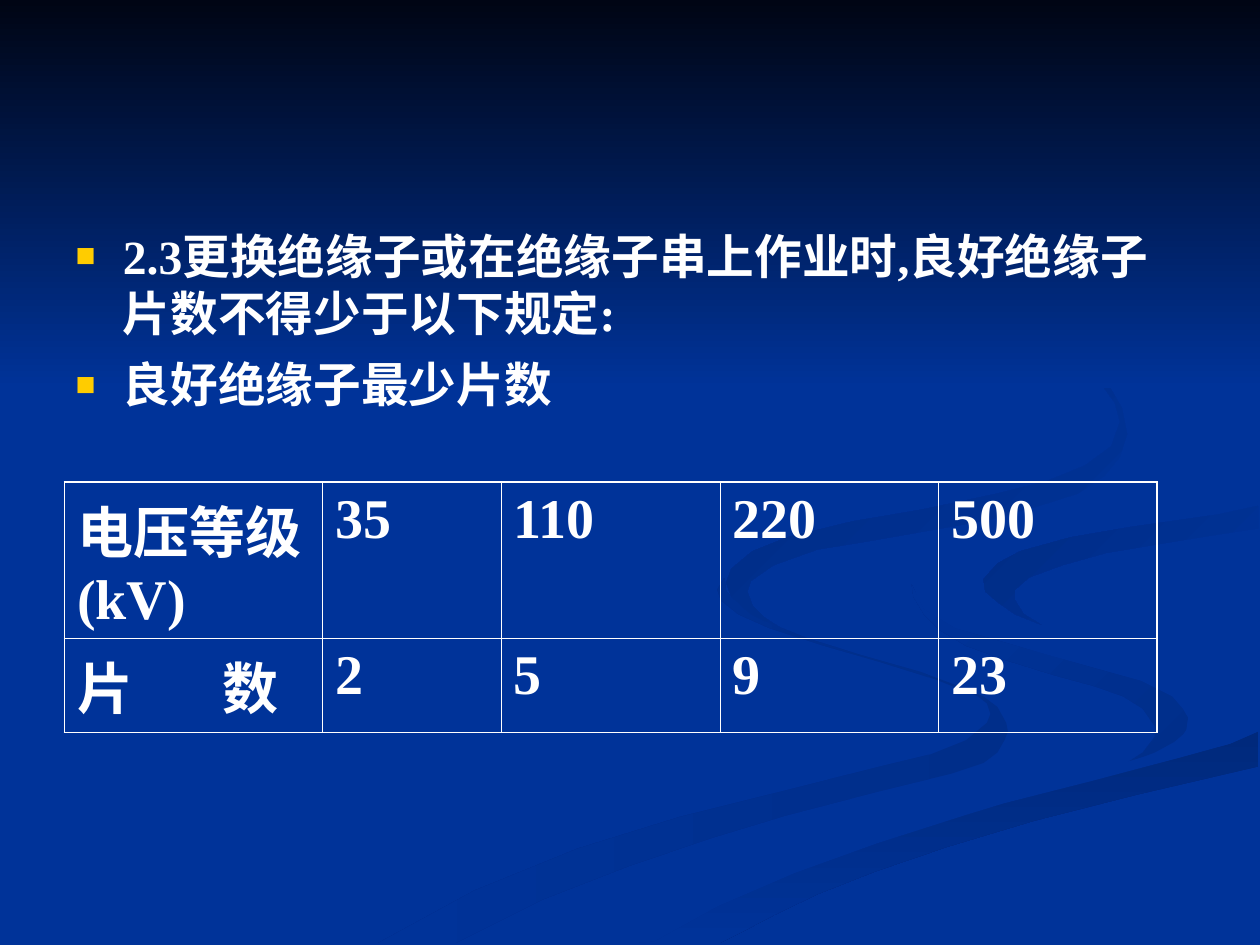
from dataclasses import dataclass

from lxml.etree import SubElement as Sub
from pptx import Presentation
from pptx.dml.color import RGBColor as Rgb
from pptx.enum.shapes import MSO_SHAPE as Kind
from pptx.enum.text import MSO_ANCHOR as Anchor, MSO_AUTO_SIZE as Fit
from pptx.oxml import parse_xml
from pptx.oxml.ns import nsdecls, qn
from pptx.util import Pt


@dataclass(frozen=True)
class Theme:
    """Colours, font and type sizes."""
    font: str = "Times New Roman"
    blue: str = "003399"
    night: str = "000514"
    shade: str = "002E8A"
    deep: str = "00297C"
    dusk: str = "002C85"
    dark: str = "002B81"
    text: str = "FFFFFF"
    mark: str = "FFCC00"
    body: float = 27.2
    cell: float = 32
    gap: float = 8
    thin: float = 0.45
    thick: float = 1.08


class Deck:
    """Holds the theme and the current slide."""

    def __init__(self, theme):
        """Open a deck with one slide."""
        self.theme = theme
        self.show = Presentation()
        self.show.slide_width, self.show.slide_height = Pt(720), Pt(540)
        self.slide = self.show.slides.add_slide(self.show.slide_layouts[1])
        title = self.slide.shapes.title._element
        title.getparent().remove(title)
        fill = self.slide.background.fill
        fill.solid()
        fill.fore_color.rgb = Rgb.from_string(theme.blue)

    def paint(self, shape, start, end=None, angle=0):
        """Fill a shape flat, or with a gradient at a clockwise angle."""
        shape.shadow.inherit = False
        shape.line.fill.background()
        if end is None:
            shape.fill.solid()
            shape.fill.fore_color.rgb = Rgb.from_string(start)
            return
        shape.fill.gradient()
        shape.fill.gradient_angle = 360 - angle
        for stop, tone in zip(shape.fill.gradient_stops, (start, end)):
            stop.color.rgb = Rgb.from_string(tone)

    def band(self, high, *tones):
        """Add a full-width band at the top."""
        shape = self.slide.shapes.add_shape(
            Kind.RECTANGLE, 0, 0, Pt(720), Pt(high))
        self.paint(shape, *tones)

    def ribbon(self, dots, *tones):
        """Add a closed ribbon outline."""
        pen = self.slide.shapes.build_freeform(*dots[0], scale=Pt(1))
        pen.add_line_segments(dots[1:], close=True)
        self.paint(pen.convert_to_shape(), *tones)

    def put(self, para, text, size):
        """Add one styled run to a paragraph."""
        para.space_before = Pt(self.theme.gap)
        run = para.add_run()
        run.text = text
        font = run.font
        font.name, font.size, font.bold = self.theme.font, Pt(size), True
        font.color.rgb = Rgb.from_string(self.theme.text)

    def bullets(self, box, lines):
        """Fill the body placeholder with bulleted lines."""
        body = self.slide.placeholders[1]
        self.slide.shapes._spTree.append(body._element)
        body.left, body.top, body.width, body.height = map(Pt, box)
        frame = body.text_frame
        frame.word_wrap, frame.auto_size = True, Fit.NONE
        frame.vertical_anchor = Anchor.TOP
        for i, line in enumerate(lines):
            para = frame.add_paragraph() if i else frame.paragraphs[0]
            self.put(para, line, self.theme.body)
            props = para._p.get_or_add_pPr()
            props.set("marL", str(Pt(27)))
            props.set("indent", str(-Pt(27)))
            tone = Sub(props, qn("a:buClr"))
            Sub(tone, qn("a:srgbClr"), val=self.theme.mark)
            Sub(props, qn("a:buSzPct"), val="70000")
            Sub(props, qn("a:buChar"), char="■")

    def edge(self, cell, sides):
        """Draw cell borders, given which sides are outer."""
        props = cell._tc.get_or_add_tcPr()
        for i, (side, outer) in enumerate(sides.items()):
            wide = Pt(self.theme.thick if outer else self.theme.thin)
            props.insert(i, parse_xml(
                f'<a:ln{side} {nsdecls("a")} w="{wide}"><a:solidFill>'
                f'<a:srgbClr val="{self.theme.text}"/>'
                f'</a:solidFill></a:ln{side}>'))

    def table(self, spot, wides, highs, rows, tab):
        """Add a ruled table with clear cells and one tab stop."""
        grid = self.slide.shapes.add_table(
            len(highs), len(wides), *map(Pt, spot),
            Pt(sum(wides)), Pt(sum(highs))).table
        for col, wide in zip(grid.columns, wides):
            col.width = Pt(wide)
        for r, (row, high) in enumerate(zip(rows, highs)):
            grid.rows[r].height = Pt(high)
            for c, text in enumerate(row):
                cell = grid.cell(r, c)
                cell.fill.background()
                self.edge(cell, {"L": c == 0, "R": c == len(wides) - 1,
                                 "T": r == 0, "B": r == len(highs) - 1})
                para = cell.text_frame.paragraphs[0]
                self.put(para, text, self.theme.cell)
                if "\t" in text:
                    stops = Sub(para._p.get_or_add_pPr(), qn("a:tabLst"))
                    Sub(stops, qn("a:tab"), pos=str(Pt(tab)), algn="l")


TAIL = [
    (562, 398), (545, 391), (526, 384), (491, 374), (462, 365), (442, 357),
    (428, 349), (420, 343), (415, 338), (414, 330), (410, 337), (412, 343),
    (422, 351), (440, 359), (471, 369), (502, 378), (534, 388), (559, 398),
    (564, 402), (566, 408), (564, 413), (552, 423), (532, 431), (503, 438),
    (444, 453), (388, 467), (330, 485), (271, 509), (216, 539), (260, 539),
    (310, 514), (359, 495), (406, 479), (449, 466), (503, 452), (544, 442),
    (562, 436), (570, 430), (574, 423), (576, 418), (575, 413), (570, 404)]
BEND = [
    (679, 410), (676, 405), (670, 398), (652, 389), (626, 382), (598, 374),
    (570, 366), (546, 359), (528, 348), (521, 334), (522, 341), (528, 351),
    (537, 360), (552, 369), (574, 377), (603, 386), (625, 392), (642, 398),
    (653, 405), (660, 415), (660, 421), (653, 430), (644, 436), (660, 430),
    (671, 424), (678, 418)]
SWEEP = [
    (374, 538), (362, 539), (411, 539), (423, 533), (442, 523), (467, 511),
    (500, 498), (541, 484), (591, 469), (650, 454), (719, 438), (719, 418),
    (703, 425), (674, 433), (624, 446), (574, 459), (550, 466), (501, 482),
    (454, 499), (410, 518)]
RIVER = [
    (522, 334), (524, 341), (528, 348), (546, 359), (571, 366), (598, 374),
    (627, 382), (652, 389), (670, 398), (676, 405), (679, 410), (678, 417),
    (674, 423), (662, 430), (642, 436), (607, 445), (562, 456), (507, 472),
    (446, 492), (379, 521), (343, 539), (362, 539), (374, 538), (410, 518),
    (454, 499), (501, 482), (551, 466), (574, 459), (625, 446), (674, 433),
    (703, 425), (719, 418), (719, 387), (690, 382), (651, 374), (611, 362),
    (588, 354), (572, 346), (564, 338), (562, 331), (570, 322), (584, 315),
    (612, 307), (647, 301), (697, 294), (719, 289), (719, 279), (678, 287),
    (629, 294), (598, 299), (567, 304), (544, 311), (527, 321)]
HOOK = [
    (562, 331), (563, 338), (570, 344), (580, 351), (595, 357), (585, 351),
    (580, 343), (580, 337), (588, 330), (607, 323), (632, 316), (674, 309),
    (699, 305), (719, 302), (719, 289), (696, 294), (647, 301), (612, 307),
    (583, 315), (570, 322)]
CURL = [
    (492, 310), (532, 303), (566, 297), (594, 289), (616, 282), (631, 272),
    (640, 261), (644, 248), (641, 233), (634, 221), (622, 210), (607, 198),
    (583, 184), (562, 174), (549, 168), (580, 183), (609, 201), (626, 215),
    (637, 230), (640, 241), (635, 255), (620, 266), (598, 275), (570, 282),
    (528, 291), (487, 298), (450, 307), (430, 315), (418, 325), (415, 333),
    (418, 341), (429, 351), (448, 360), (437, 353), (430, 346), (427, 338),
    (429, 332), (442, 323), (467, 314)]


def main():
    """Build and save the slide."""
    look = Theme()
    deck = Deck(look)
    deck.ribbon(TAIL, look.shade, look.blue, 180)
    deck.ribbon(BEND, look.shade, look.blue, 225)
    deck.ribbon(SWEEP, look.deep, look.blue, 90)
    deck.ribbon(RIVER, look.blue)
    deck.ribbon(HOOK, look.blue, look.dusk, 225)
    deck.ribbon(CURL, look.blue, look.dark, 225)
    deck.band(222, look.night, look.blue, 90)
    deck.bullets((36, 126, 653, 116), [
        "2.3更换绝缘子或在绝缘子串上作业时,良好绝缘子片数不得少于以下规定:",
        "良好绝缘子最少片数"])
    deck.table((36.9, 275.6), (147.4, 102.2, 125, 125, 124.6), (84.2, 50.4), [
        ("电压等级(kV)", "35", "110", "220", "500"),
        ("片\t数", "2", "5", "9", "23")], 83)
    deck.show.save("out.pptx")


if __name__ == "__main__":
    main()
